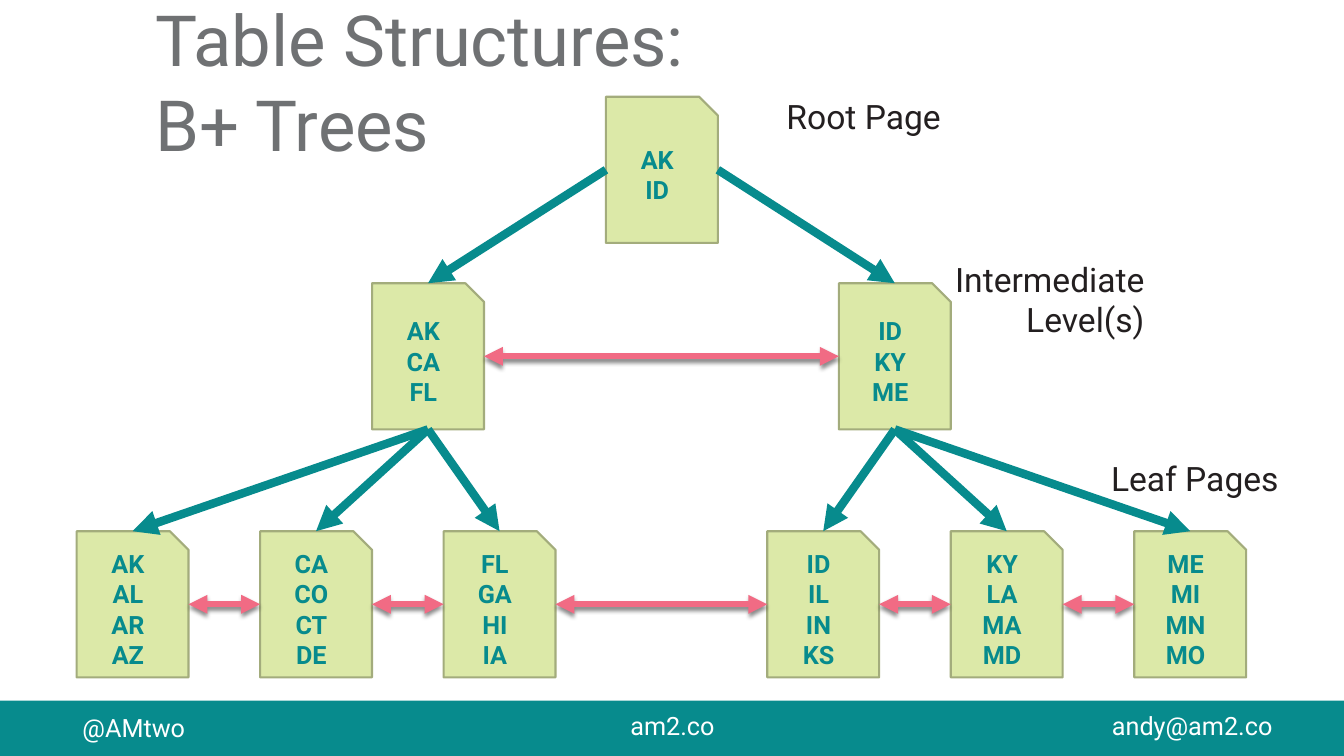
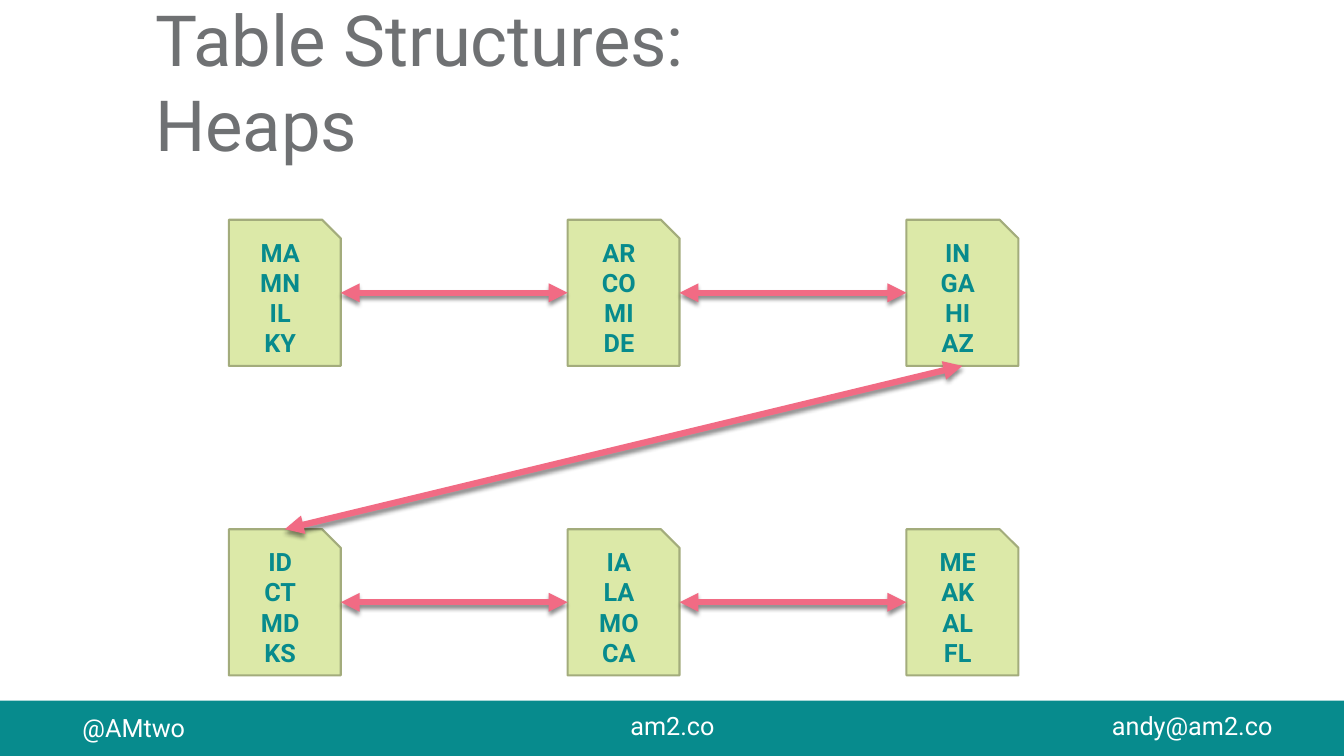
"""Build two slides that compare B+ trees with heaps as table structures."""
from itertools import pairwise

from lxml.etree import SubElement
from pptx import Presentation
from pptx.dml.color import RGBColor
from pptx.enum.shapes import MSO_CONNECTOR, MSO_SHAPE
from pptx.enum.text import MSO_ANCHOR, PP_ALIGN
from pptx.oxml.ns import qn
from pptx.util import Inches, Pt

COLOURS = {
    "teal": "078B8D",
    "pink": "F16B84",
    "page": "DCE9A8",
    "page_edge": "A3AC7C",
    "title": "6F7173",
    "label": "231F20",
    "white": "FFFFFF",
    "shadow": "000000",
}
FONT = "Roboto"
SLIDE_WIDTH, SLIDE_HEIGHT = 13.33, 7.5
PAGE_WIDTH, PAGE_HEIGHT = 1.11, 1.45


def colour(name):
    return RGBColor.from_string(COLOURS[name])


class Deck:
    """Hold the shared style and the current slide."""

    def __init__(self):
        self.presentation = Presentation()
        self.presentation.slide_width = Inches(SLIDE_WIDTH)
        self.presentation.slide_height = Inches(SLIDE_HEIGHT)
        self.slide = None

    def new_slide(self, *title_lines):
        layout = self.presentation.slide_layouts[6]
        self.slide = self.presentation.slides.add_slide(layout)
        self.footer()
        title = self.text(title_lines, 1.44, 0.17, 11.89, 1.47, 50.4, "title")
        title.text_frame.vertical_anchor = MSO_ANCHOR.BOTTOM
        title.text_frame.margin_top = title.text_frame.margin_bottom = 0

    def footer(self):
        self.shape(MSO_SHAPE.RECTANGLE, 0, 6.95, SLIDE_WIDTH, 0.55, "teal")
        self.text(["@AMtwo"], 0.72, 7.02, 1.3, 0.4, 18, "white")
        self.text(["andy@am2.co"], 10.93, 7, 1.85, 0.4, 18, "white")
        self.text(["am2.co"], 5.21, 7, 2.92, 0.4, 18, "white", PP_ALIGN.CENTER)

    def shape(self, kind, left, top, width, height, fill, edge=None):
        shape = self.slide.shapes.add_shape(
            kind, Inches(left), Inches(top), Inches(width), Inches(height))
        shape.shadow.inherit = False
        shape.fill.solid()
        shape.fill.fore_color.rgb = colour(fill)
        if edge:
            shape.line.color.rgb = colour(edge)
            shape.line.width = Pt(1.5)
        else:
            shape.line.fill.background()
        return shape

    def add_lines(self, frame, lines, size, ink, align, bold=False):
        frame.word_wrap = True
        for index, line in enumerate(lines):
            paragraph = frame.add_paragraph() if index else frame.paragraphs[0]
            paragraph.alignment = align
            run = paragraph.add_run()
            run.text = line
            run.font.name = FONT
            run.font.size = Pt(size)
            run.font.bold = bold
            run.font.color.rgb = colour(ink)

    def text(self, lines, left, top, width, height, size, ink,
             align=PP_ALIGN.LEFT):
        box = self.slide.shapes.add_textbox(
            Inches(left), Inches(top), Inches(width), Inches(height))
        self.add_lines(box.text_frame, lines, size, ink, align)
        return box

    def label(self, words, left, top, height=0.5):
        self.text([words], left, top, 2.37, height, 24, "label", PP_ALIGN.RIGHT)

    def page(self, keys, left, top):
        page = self.shape(MSO_SHAPE.SNIP_1_RECTANGLE, left, top,
                          PAGE_WIDTH, PAGE_HEIGHT, "page", "page_edge")
        page.text_frame.vertical_anchor = MSO_ANCHOR.MIDDLE
        self.add_lines(page.text_frame, keys.split(), 18, "teal",
                       PP_ALIGN.CENTER, bold=True)
        return page

    def row(self, key_groups, left, top, step):
        return [self.page(keys, left + index * step, top)
                for index, keys in enumerate(key_groups)]

    def arrow(self, start, end, ink, width, ends):
        connector = self.slide.shapes.add_connector(
            MSO_CONNECTOR.STRAIGHT, *start, *end)
        connector.line.color.rgb = colour(ink)
        connector.line.width = Pt(width)
        properties = connector._element.spPr
        line = properties.find(qn("a:ln"))
        for end_name in ends:
            SubElement(line, qn(f"a:{end_name}"), type="triangle")
        return SubElement(properties, qn("a:effectLst"))

    def branch(self, start, child):
        self.arrow(start, side(child, 0.5, 0), "teal", 6, ["tailEnd"])

    def link(self, start, end):
        effects = self.arrow(start, end, "pink", 4.5, ["headEnd", "tailEnd"])
        shadow = SubElement(effects, qn("a:outerShdw"), blurRad=str(Pt(3)),
                            dist=str(Pt(2.4)), dir="5400000", rotWithShape="0")
        shade = SubElement(shadow, qn("a:srgbClr"), val=COLOURS["shadow"])
        SubElement(shade, qn("a:alpha"), val="45000")

    def chain(self, pages):
        for before, after in pairwise(pages):
            self.link(side(after, 0, 0.5), side(before, 1, 0.5))


def side(page, across, down):
    return (int(page.left + page.width * across),
            int(page.top + page.height * down))


def build_tree(deck):
    deck.new_slide("Table Structures:", "B+ Trees")
    root = deck.page("AK ID", 6.01, 0.96)
    middle = deck.row(["AK CA FL", "ID KY ME"], 3.69, 2.81, 4.63)
    leaf_top, leaf_step = 5.27, 1.82
    families = [
        deck.row(["AK AL AR AZ", "CA CO CT DE", "FL GA HI IA"],
                 0.76, leaf_top, leaf_step),
        deck.row(["ID IL IN KS", "KY LA MA MD", "ME MI MN MO"],
                 7.61, leaf_top, leaf_step),
    ]
    for across, (parent, leaves) in enumerate(zip(middle, families)):
        deck.branch(side(root, across, 0.5), parent)
        for leaf in leaves:
            deck.branch(side(parent, 0.5, 1), leaf)
    deck.chain(middle)
    deck.chain(families[0] + families[1])
    deck.label("Root Page", 7.06, 0.9)
    deck.label("Intermediate Level(s)", 9.08, 2.52, 0.91)
    deck.label("Leaf Pages", 10.41, 4.49)


def build_heap(deck):
    deck.new_slide("Table Structures:", "Heaps")
    left, step = 2.27, 3.36
    upper = deck.row(["MA MN IL KY", "AR CO MI DE", "IN GA HI AZ"],
                     left, 2.18, step)
    lower = deck.row(["ID CT MD KS", "IA LA MO CA", "ME AK AL FL"],
                     left, 5.25, step)
    deck.chain(upper)
    deck.link(side(lower[0], 0.5, 0), side(upper[-1], 0.5, 1))
    deck.chain(lower)


def main():
    deck = Deck()
    build_tree(deck)
    build_heap(deck)
    deck.presentation.save("out.pptx")


if __name__ == "__main__":
    main()
